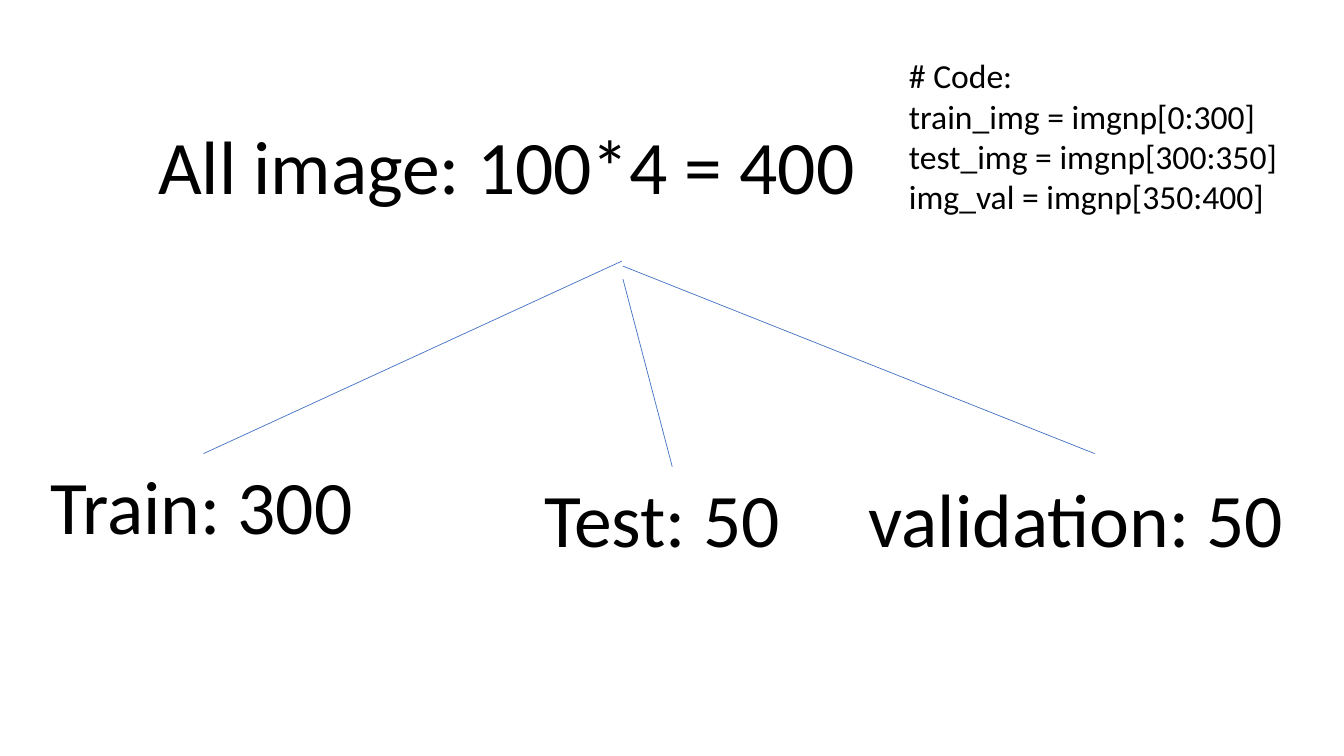
from pptx import Presentation
from pptx.dml.color import RGBColor
from pptx.enum.shapes import MSO_CONNECTOR
from pptx.enum.text import MSO_AUTO_SIZE
from pptx.oxml.ns import qn
from pptx.util import Pt
from lxml.etree import SubElement

BLACK = RGBColor(0x00, 0x00, 0x00)
BLUE = RGBColor(0x44, 0x72, 0xC4)

prs = Presentation()
prs.slide_width, prs.slide_height = Pt(960), Pt(540)
slide = prs.slides.add_slide(prs.slide_layouts[6])

branches = [
    (444.2, 186.5, 145.4, 324),
    (445, 199.4, 480.2, 333.4),
    (445, 190.1, 781.9, 324),
]
for ends in branches:
    line = slide.shapes.add_connector(MSO_CONNECTOR.STRAIGHT, *map(Pt, ends))
    line.line.color.rgb = BLUE
    line.line.width = Pt(0.5)
    SubElement(line._element.spPr, qn("a:effectLst"))

code = [
    "# Code:",
    "train_img = imgnp[0:300]",
    "test_img = imgnp[300:350]",
    "img_val = imgnp[350:400]",
]
labels = [
    (["All image: 100*4 = 400"], 54, (105.8, 81.4, 517.7, 72.7)),
    (["Train: 300"], 54, (28.8, 324, 233.3, 72.7)),
    (["Test: 50 "], 54, (381.6, 333.4, 197.3, 72.7)),
    (["validation: 50 "], 54, (613.4, 333.4, 326.9, 72.7)),
    (code, 24, (642.2, 36, 279.4, 123.8)),
]
for lines, size, box in labels:
    tf = slide.shapes.add_textbox(*map(Pt, box)).text_frame
    tf.word_wrap = False
    tf.auto_size = MSO_AUTO_SIZE.SHAPE_TO_FIT_TEXT
    tf.text = "\n".join(lines)
    for p in tf.paragraphs:
        r = p.runs[0]
        for name, value in {"name": "Calibri", "size": Pt(size)}.items():
            setattr(r.font, name, value)
        r.font.color.rgb = BLACK

prs.save("out.pptx")
